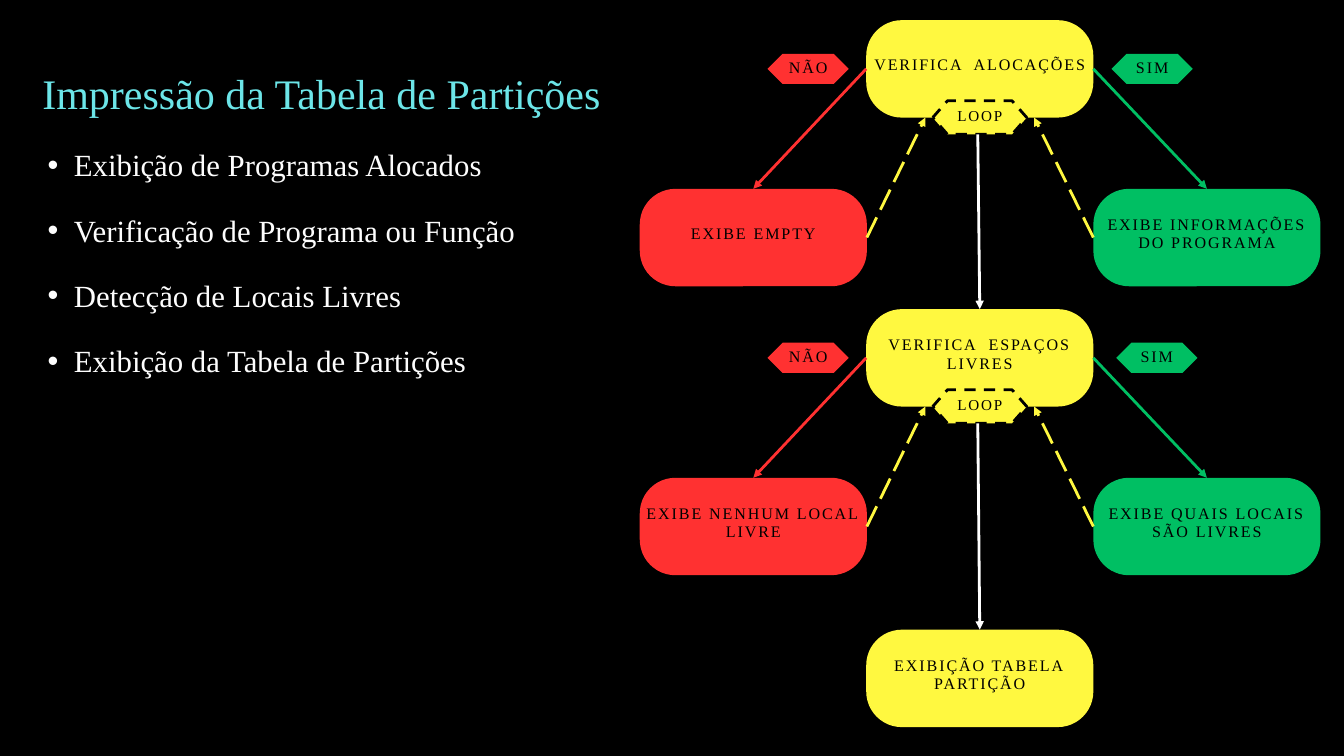
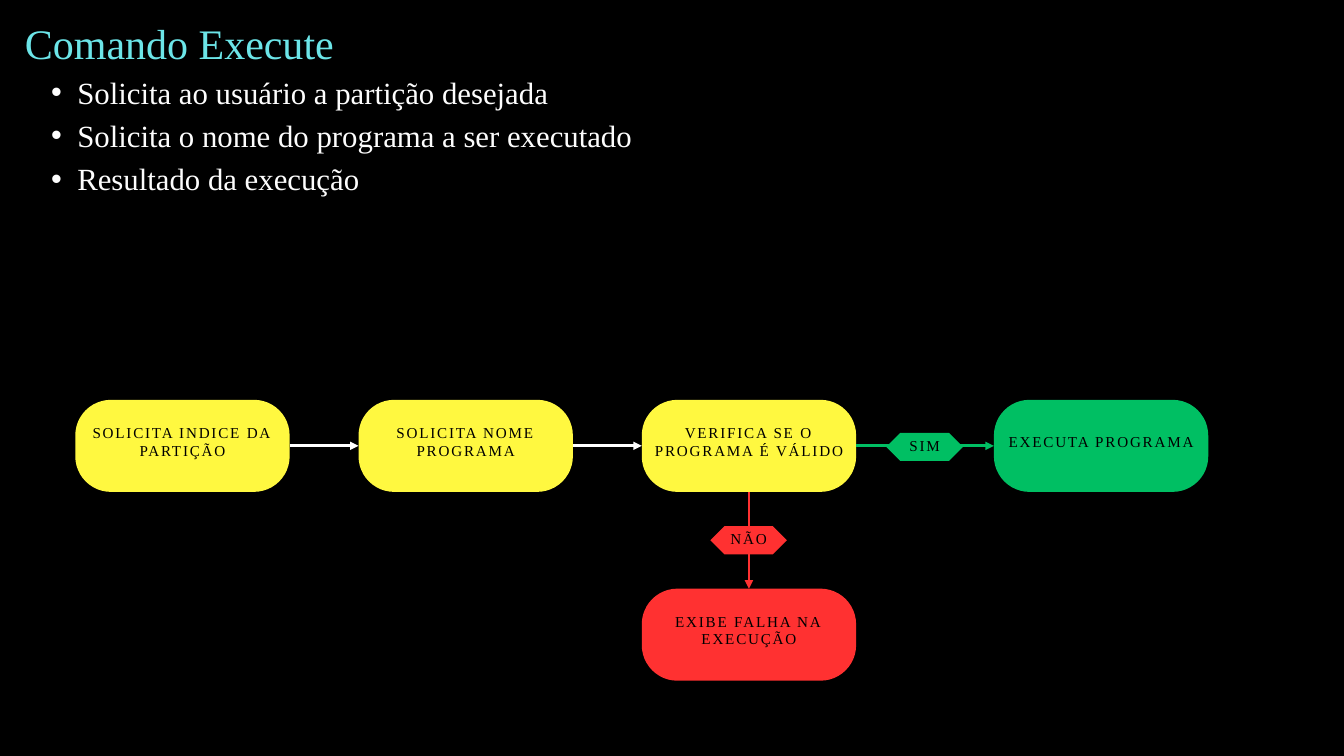
from lxml.etree import SubElement
from pptx import Presentation
from pptx.dml.color import RGBColor
from pptx.enum.dml import MSO_LINE
from pptx.enum.shapes import MSO_CONNECTOR, MSO_SHAPE
from pptx.enum.text import MSO_ANCHOR, MSO_AUTO_SIZE, PP_ALIGN
from pptx.oxml.ns import qn
from pptx.util import Inches, Pt

BLACK, WHITE, CYAN = "000000", "FFFFFF", "6CE5E8"
YELLOW, RED, GREEN = "FFF840", "FF3131", "00BF63"
FONT = "Times New Roman"
TOP, LEFT, BOTTOM, RIGHT = range(4)


def color(hex_code):
    return RGBColor.from_string(hex_code)


class FlowPage:
    """A black slide with the shared title, bullet and flowchart styles."""

    corner = 0.53
    line_width = Pt(3)

    def __init__(self, deck, label_size, node_size, tag_size):
        self.page = deck.slides.add_slide(deck.slide_layouts[6])
        self.label_size = label_size
        self.node_size = node_size
        self.tag_size = tag_size
        fill = self.page.background.fill
        fill.solid()
        fill.fore_color.rgb = color(BLACK)

    def style(self, para, size, hex_code, spacing):
        para.line_spacing = Pt(spacing)
        para.font.name = FONT
        para.font.size = Pt(size)
        para.font.color.rgb = color(hex_code)

    def outline(self, at, title, bullets, title_spacing, bullet_spacing, title_indent=0):
        """Write the title and its bullets in one text box."""
        box = self.page.shapes.add_textbox(*map(Inches, at))
        frame = box.text_frame
        frame.word_wrap = True
        frame.auto_size = MSO_AUTO_SIZE.SHAPE_TO_FIT_TEXT
        frame.margin_left = frame.margin_right = 0
        frame.margin_top = frame.margin_bottom = 0
        heading = frame.paragraphs[0]
        heading.text = title
        heading.alignment = PP_ALIGN.JUSTIFY
        heading._p.get_or_add_pPr().set("marL", str(Inches(title_indent)))
        self.style(heading, 45, CYAN, title_spacing)
        for bullet in bullets:
            para = frame.add_paragraph()
            para.text = bullet
            para.level = 1
            para.alignment = PP_ALIGN.JUSTIFY
            props = para._p.get_or_add_pPr()
            props.set("marL", str(Inches(0.78)))
            props.set("indent", str(Inches(-0.39)))
            SubElement(props, qn("a:buFont")).set("typeface", "Arial")
            SubElement(props, qn("a:buChar")).set("char", "•")
            self.style(para, 33, "FDFDFD", bullet_spacing)

    def labelled_shape(self, kind, at, text, hex_code, adjustment, size, lift):
        """Add a filled shape whose label is centred, raised by half of lift."""
        shape = self.page.shapes.add_shape(kind, *map(Inches, at))
        shape.shadow.inherit = False
        shape.adjustments[0] = adjustment
        shape.fill.solid()
        shape.fill.fore_color.rgb = color(hex_code)
        shape.line.fill.background()
        frame = shape.text_frame
        frame.word_wrap = False
        frame.vertical_anchor = MSO_ANCHOR.MIDDLE
        frame.margin_left = frame.margin_right = frame.margin_top = 0
        frame.margin_bottom = Inches(lift)
        para = frame.paragraphs[0]
        para.text = text
        para.alignment = PP_ALIGN.CENTER
        self.style(para, size, BLACK, round(size * 1.15, 1))
        para.font._element.set("spc", str(round(size * 12)))
        return shape

    def node(self, left, top, text, hex_code):
        width, height = self.node_size
        return self.labelled_shape(
            MSO_SHAPE.ROUNDED_RECTANGLE, (left, top, width, height), text,
            hex_code, self.corner / height, self.label_size, 0.12)

    def tag(self, left, top, text, hex_code):
        return self.labelled_shape(
            MSO_SHAPE.HEXAGON, (left, top, *self.tag_size), text,
            hex_code, 0.5, self.label_size, 0.03)

    def loop(self, left, top):
        shape = self.labelled_shape(
            MSO_SHAPE.HEXAGON, (left, top, 1.4, 0.5), "LOOP", YELLOW, 0.44, 16.2, 0.04)
        shape.line.color.rgb = color(BLACK)
        shape.line.width = self.line_width
        shape.line.dash_style = MSO_LINE.DASH

    def arrow(self, start, end, hex_code, dash=None):
        """Draw an arrow; each end is a point or a (node, side) pair."""
        points = [(0, 0) if hasattr(spot[0], "shape_id") else spot for spot in (start, end)]
        line = self.page.shapes.add_connector(
            MSO_CONNECTOR.STRAIGHT, *(Inches(value) for point in points for value in point))
        for spot, connect in ((start, line.begin_connect), (end, line.end_connect)):
            if hasattr(spot[0], "shape_id"):
                connect(*spot)
        line.line.color.rgb = color(hex_code)
        line.line.width = self.line_width
        if dash:
            line.line.dash_style = dash
        SubElement(line.line._get_or_add_ln(), qn("a:tailEnd")).set("type", "triangle")
        SubElement(line._element.spPr, qn("a:effectLst"))


def build_partition_table(deck):
    flow = FlowPage(deck, 17.2, (3.38, 1.45), (1.21, 0.45))
    flow.outline(
        (0.32, 0.79, 10.02, 5.58), "Impressão da Tabela de Partições",
        ["Exibição de Programas Alocados", "Verificação de Programa ou Função",
         "Detecção de Locais Livres", "Exibição da Tabela de Partições"],
        69.3, 70, title_indent=0.31)

    left, middle, right = 9.52, 12.89, 16.27
    stages = [
        (0.3, "VERIFICA  ALOCAÇÕES", "EXIBE EMPTY",
         "EXIBE INFORMAÇÕES\vDO PROGRAMA", 16.54),
        (4.6, "VERIFICA  ESPAÇOS\vLIVRES", "EXIBE NENHUM LOCAL\vLIVRE",
         "EXIBE QUAIS LOCAIS\vSÃO LIVRES", 16.61),
    ]
    checks = []
    for top, question, no_text, yes_text, yes_left in stages:
        check = flow.node(middle, top, question, YELLOW)
        no_node = flow.node(left, top + 2.51, no_text, RED)
        yes_node = flow.node(right, top + 2.51, yes_text, GREEN)
        flow.arrow((check, LEFT), (no_node, TOP), RED)
        flow.arrow((check, RIGHT), (yes_node, TOP), GREEN)
        flow.tag(11.42, top + 0.5, "NÃO", RED)
        flow.tag(yes_left, top + 0.5, "SIM", GREEN)
        flow.arrow((no_node, RIGHT), (13.77, top + 1.45), YELLOW, MSO_LINE.LONG_DASH)
        flow.arrow((yes_node, LEFT), (15.39, top + 1.45), YELLOW, MSO_LINE.LONG_DASH)
        flow.loop(13.88, top + 1.2)
        checks.append(check)

    result = flow.node(middle, 9.37, "EXIBIÇÃO TABELA\vPARTIÇÃO", YELLOW)
    for stage, target in zip(stages, [checks[1], result]):
        flow.arrow((14.55, stage[0] + 1.7), (target, TOP), WHITE)


def build_execute_command(deck):
    flow = FlowPage(deck, 16.2, (3.19, 1.37), (1.14, 0.42))
    flow.outline(
        (0.37, 0.13, 11.42, 2.86), "Comando Execute",
        ["Solicita ao usuário a partição desejada",
         "Solicita o nome do programa a ser executado", "Resultado da execução"],
        63, 46.2)

    top = 5.95
    steps = ["SOLICITA INDICE DA\vPARTIÇÃO", "SOLICITA NOME\vPROGRAMA",
             "VERIFICA SE O\vPROGRAMA É VÁLIDO"]
    index, name, check = [
        flow.node(1.12 + 4.215 * column, top, text, YELLOW)
        for column, text in enumerate(steps)]
    failure = flow.node(9.55, 8.76, "EXIBE FALHA NA\vEXECUÇÃO", RED)
    success = flow.node(14.79, top, "EXECUTA PROGRAMA", GREEN)
    flow.arrow((index, RIGHT), (name, LEFT), WHITE)
    flow.arrow((name, RIGHT), (check, LEFT), WHITE)
    flow.arrow((check, BOTTOM), (failure, TOP), RED)
    flow.tag(10.57, 7.83, "NÃO", RED)
    flow.arrow((check, RIGHT), (success, LEFT), GREEN)
    flow.tag(13.19, 6.44, "SIM", GREEN)


def main():
    deck = Presentation()
    deck.slide_width, deck.slide_height = Inches(20), Inches(11.25)
    build_partition_table(deck)
    build_execute_command(deck)
    deck.save("out.pptx")


if __name__ == "__main__":
    main()
